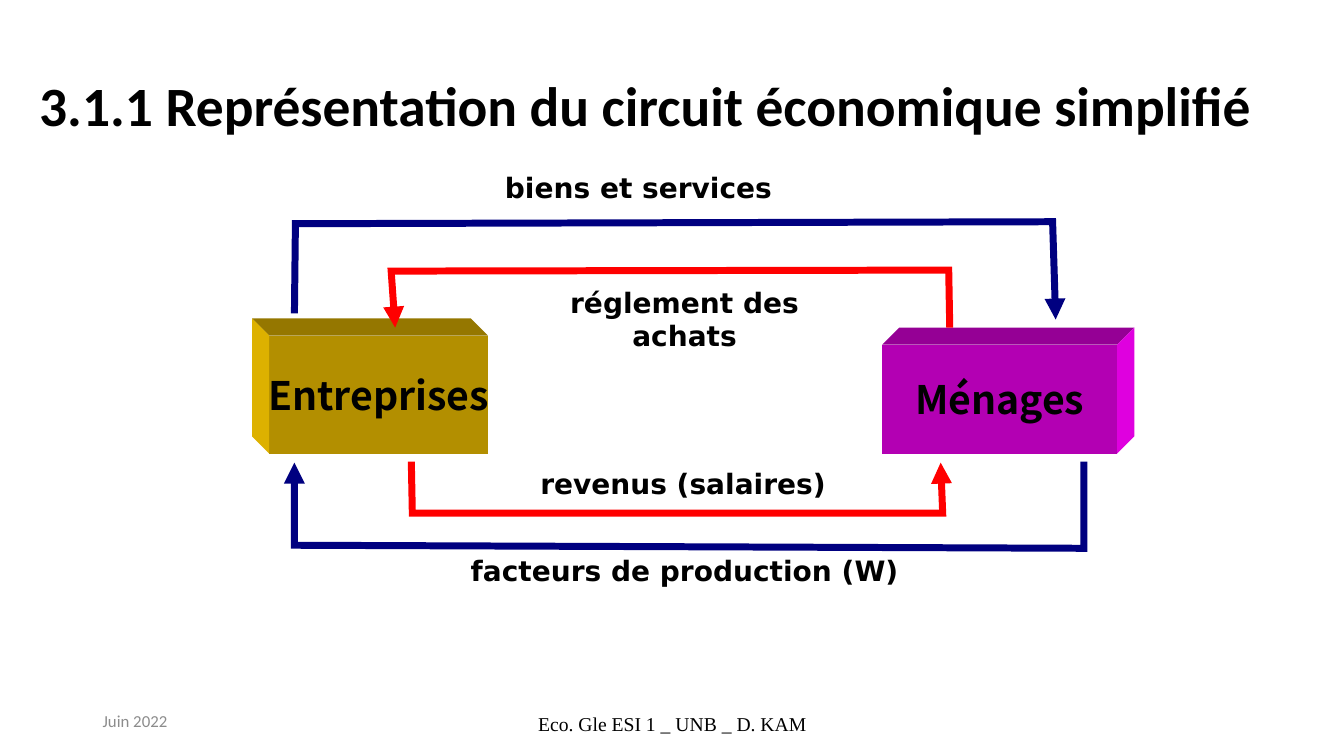
import dataclasses

import pptx
import pptx.dml.color
import pptx.enum.text
import pptx.oxml.ns
import pptx.util
from lxml import etree

Inches = pptx.util.Inches
Align = pptx.enum.text.PP_ALIGN
Anchor = pptx.enum.text.MSO_ANCHOR


@dataclasses.dataclass(frozen=True)
class Theme:
    ink: str = "000000"
    muted: str = "8C8C8C"
    goods: str = "000080"
    money: str = "FF0000"
    gold: tuple = ("B38F00", "957700", "DDB100")
    purple: tuple = ("B300B3", "950095", "DF00DF")
    title_size: float = 39.6
    actor_size: float = 28
    flow_size: float = 20
    footer_size: float = 14
    date_size: float = 12
    flow_width: float = 5
    depth: float = 0.17
    overhang: float = 0.25
    main_font: str = "Calibri"
    actor_font: str = "Noto Sans CJK KR"
    flow_font: str = "DejaVu Sans"
    footer_font: str = "Times New Roman"


def rgb(value):
    return pptx.dml.color.RGBColor.from_string(value)


class CircuitSlide:
    def __init__(self, page, theme):
        self.page = page
        self.theme = theme

    def outline(self, points, closed):
        corners = [(Inches(x), Inches(y)) for x, y in points]
        builder = self.page.shapes.build_freeform(*corners[0])
        builder.add_line_segments(corners[1:], close=closed)
        shape = builder.convert_to_shape()
        shape.shadow.inherit = False
        return shape

    def face(self, points, color):
        shape = self.outline(points, True)
        shape.fill.solid()
        shape.fill.fore_color.rgb = rgb(color)
        shape.line.fill.background()

    def text(self, words, area, size, font, color=None, bold=False,
             align=Align.LEFT, anchor=Anchor.TOP, spacing=None):
        box = self.page.shapes.add_textbox(*map(Inches, area))
        frame = box.text_frame
        frame.word_wrap = True
        frame.vertical_anchor = anchor
        para = frame.paragraphs[0]
        para.text = words
        para.alignment = align
        para.line_spacing = spacing
        para.font.size = pptx.util.Pt(size)
        para.font.name = font
        para.font.bold = bold
        para.font.color.rgb = rgb(color or self.theme.ink)

    def actor(self, name, area, colors, side):
        left, top, width, height = area
        right, bottom = left + width, top + height
        shift = side * self.theme.depth
        rise = self.theme.depth
        edge = right if side > 0 else left
        front, lid, flank = colors
        self.face([(left, top), (right, top), (right, bottom), (left, bottom)], front)
        self.face([(left, top), (left + shift, top - rise),
                   (right + shift, top - rise), (right, top)], lid)
        self.face([(edge, top), (edge + shift, top - rise),
                   (edge + shift, bottom - rise), (edge, bottom)], flank)
        overhang = self.theme.overhang
        self.text(name, (left - overhang, top, width + 2 * overhang, height),
                  self.theme.actor_size, self.theme.actor_font,
                  bold=True, align=Align.CENTER, anchor=Anchor.MIDDLE)

    def flow(self, points, color):
        shape = self.outline(points, False)
        shape.fill.background()
        shape.line.color.rgb = rgb(color)
        shape.line.width = pptx.util.Pt(self.theme.flow_width)
        stroke = shape.line._get_or_add_ln()
        etree.SubElement(stroke, pptx.oxml.ns.qn("a:miter"), lim="800000")
        etree.SubElement(stroke, pptx.oxml.ns.qn("a:tailEnd"), type="triangle")

    def label(self, words, area, align=Align.LEFT):
        self.text(words, area, self.theme.flow_size, self.theme.flow_font,
                  bold=True, align=align)


def main():
    deck = pptx.Presentation()
    deck.slide_width, deck.slide_height = Inches(13.33), Inches(7.5)
    theme = Theme()
    circuit = CircuitSlide(deck.slides.add_slide(deck.slide_layouts[6]), theme)

    circuit.text("3.1.1 Représentation du circuit économique simplifié",
                 (0.29, 0.24, 12.55, 1.18), theme.title_size, theme.main_font,
                 bold=True, anchor=Anchor.BOTTOM, spacing=0.9)

    circuit.actor("Entreprises", (2.67, 3.33, 2.17, 1.17), theme.gold, -1)
    circuit.actor("Ménages", (8.75, 3.42, 2.33, 1.08), theme.purple, 1)

    circuit.flow([(2.92, 3.11), (2.93, 2.22), (10.44, 2.2), (10.47, 3.17)], theme.goods)
    circuit.flow([(9.42, 3.25), (9.41, 2.68), (3.88, 2.69), (3.92, 3.25)], theme.money)
    circuit.flow([(10.75, 4.58), (10.75, 5.44), (2.92, 5.41), (2.92, 4.59)], theme.goods)
    circuit.flow([(4.08, 4.58), (4.09, 5.09), (9.35, 5.09), (9.33, 4.59)], theme.money)

    circuit.label("biens et services", (4.91, 1.64, 3.53, 0.44))
    circuit.label("réglement des achats", (5.32, 2.78, 2.94, 0.77), Align.CENTER)
    circuit.label("revenus (salaires)", (5.26, 4.58, 3.18, 0.44))
    circuit.label("facteurs de production (W)", (4.57, 5.44, 4.57, 0.44))

    circuit.text("Eco. Gle ESI 1 _ UNB _ D. KAM", (4.42, 6.95, 4.5, 0.4),
                 theme.footer_size, theme.footer_font,
                 align=Align.CENTER, anchor=Anchor.BOTTOM)
    circuit.text("Juin 2022", (0.92, 6.95, 3, 0.4), theme.date_size,
                 theme.main_font, theme.muted, anchor=Anchor.MIDDLE)
    deck.save("out.pptx")


if __name__ == "__main__":
    main()
